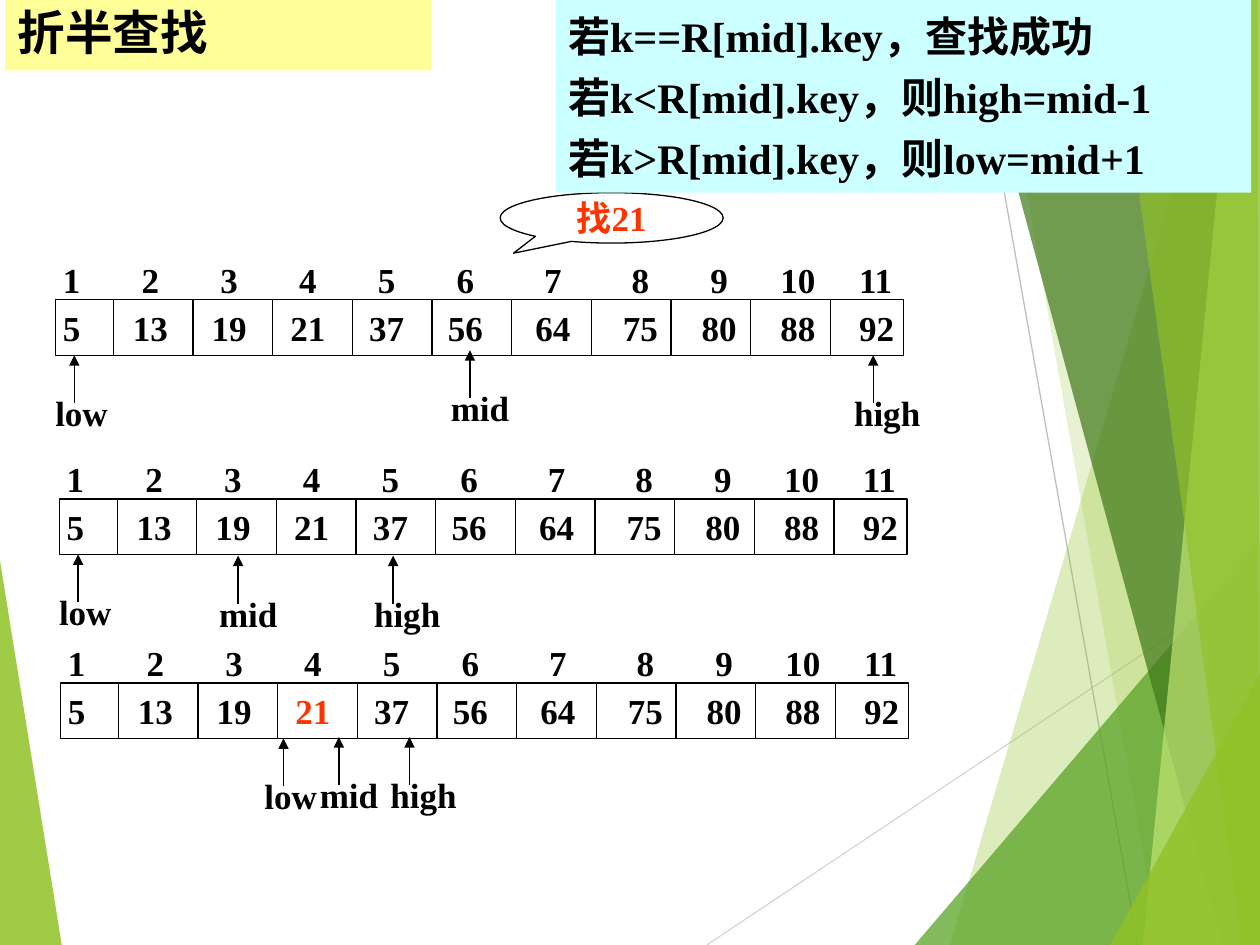
from itertools import accumulate

from pptx import Presentation
from pptx.dml.color import RGBColor
from pptx.enum.shapes import MSO_CONNECTOR, MSO_SHAPE
from pptx.enum.text import MSO_ANCHOR, PP_ALIGN
from pptx.oxml.ns import qn
from pptx.util import Inches, Pt
from lxml import etree

STRAIGHT = MSO_CONNECTOR.STRAIGHT
RECT, CALLOUT = MSO_SHAPE.RECTANGLE, MSO_SHAPE.OVAL_CALLOUT
LEFT, CENTER = PP_ALIGN.LEFT, PP_ALIGN.CENTER
TOP, MIDDLE = MSO_ANCHOR.TOP, MSO_ANCHOR.MIDDLE

COLORS = {
    "black": "000000", "red": "FF3300", "yellow": "FFFF99", "cyan": "CCFFFF",
    "gray": "BFBFBF", "light_gray": "D9D9D9", "green": "90C226",
    "mid_green": "54A021", "dark_green": "3F7819", "pale_green": "C0E474",
}
CJK = "Noto Sans CJK SC"
FORMAT = {"name": "Times New Roman", "size": Pt(20), "bold": True}

INDEXES = [str(i) for i in range(1, 12)]
VALUES = ["5", "13", "19", "21", "37", "56", "64", "75", "80", "88", "92"]
INDEX_STEPS = [45, 45, 45, 45, 45, 50, 50, 45, 40, 45]
VALUE_STEPS = [40, 45, 45, 45, 45, 50, 50, 45, 45, 45]
LABEL_WIDTHS = {"low": 0.61, "mid": 0.66, "high": 0.72}

LEAVES = [
    ("green", 85, [(0, 4.45), (0.49, 7.5), (0, 7.5)]),
    ("green", 30, [(9.75, 0), (7.54, 7.5), (10, 7.5), (10, 0)]),
    ("green", 20, [(7.88, 0), (9.2, 7.5), (10, 7.5), (10, 0)]),
    ("mid_green", 72, [(7.26, 7.5), (10, 4.29), (10, 7.5)]),
    ("dark_green", 70, [(7.67, 0), (9.7, 7.5), (10, 7.5), (10, 0)]),
    ("pale_green", 70, [(9.81, 0), (9.07, 7.5), (10, 7.5), (10, 0)]),
    ("green", 65, [(8.83, 0), (9.86, 7.5), (10, 7.5), (9.98, 0)]),
    ("green", 80, [(8.81, 7.5), (10, 5.35), (10, 7.5)]),
]
STEPS = [
    (0.44, 2.38, None, [("low", 0.59, 2.82), ("high", 6.93, 2.82), ("mid", 3.73, 2.78)]),
    (0.47, 3.96, None, [("low", 0.62, 4.4), ("high", 3.12, 4.41), ("mid", 1.89, 4.41)]),
    (0.48, 5.42, "21", [("low", 2.25, 5.86), ("high", 3.25, 5.85), ("mid", 2.69, 5.85)]),
]


def rgb(color):
    return RGBColor.from_string(COLORS[color])


def add_line(s, start, end, color="black", arrow=False):
    sp = s.shapes.add_connector(STRAIGHT, *(Inches(v) for v in (*start, *end)))
    sp.line.color.rgb = rgb(color)
    sp.line.width = Pt(0.75)
    if arrow:
        etree.SubElement(sp.line._get_or_add_ln(), qn("a:tailEnd"), type="triangle")
    etree.SubElement(sp._element.spPr, qn("a:effectLst"))


def add_box(s, shape, box, fill=None, line=None):
    sp = s.shapes.add_shape(shape, *(Inches(v) for v in box))
    sp.shadow.inherit = False
    if fill:
        sp.fill.solid()
        sp.fill.fore_color.rgb = rgb(fill)
    else:
        sp.fill.background()
    if line:
        sp.line.color.rgb = rgb(line)
        sp.line.width = Pt(0.75)
    else:
        sp.line.fill.background()
    return sp


def set_frame(tf, anchor=TOP, wrap=True, inset=0.1, right=0.1):
    values = {
        "word_wrap": wrap, "vertical_anchor": anchor,
        "margin_left": Inches(inset), "margin_right": Inches(right),
        "margin_top": Inches(0.05), "margin_bottom": Inches(0.05),
    }
    for name, value in values.items():
        setattr(tf, name, value)


def add_run(p, text, color="black", **changes):
    r = p.add_run()
    r.text = text
    for name, value in {**FORMAT, **changes}.items():
        setattr(r.font, name, value)
    r.font.color.rgb = rgb(color)
    etree.SubElement(r._r.get_or_add_rPr(), qn("a:ea"), typeface=CJK)


def add_tabbed(p, items, steps, marked=None):
    p.alignment = LEFT
    tabs = etree.SubElement(p._p.get_or_add_pPr(), qn("a:tabLst"))
    for pos in accumulate(steps):
        etree.SubElement(tabs, qn("a:tab"), pos=str(Pt(pos)), algn="l")
    if marked:
        at = items.index(marked)
        add_run(p, "\t".join(items[:at]) + "\t")
        add_run(p, marked, "red")
        add_run(p, "\t" + "\t".join(items[at + 1:]))
    else:
        add_run(p, "\t".join(items))


def add_backdrop(s):
    add_line(s, (5.61, 7.5), (10, 4.57), "light_gray")
    add_line(s, (7.7, 0), (9.03, 7.5), "gray")
    for color, opacity, points in LEAVES:
        corners = [(Inches(x), Inches(y)) for x, y in points]
        builder = s.shapes.build_freeform(*corners[0])
        builder.add_line_segments(corners[1:], close=True)
        sp = builder.convert_to_shape()
        sp.shadow.inherit = False
        sp.fill.solid()
        sp.fill.fore_color.rgb = rgb(color)
        sp.line.fill.background()
        clr = sp._element.spPr.find(".//" + qn("a:srgbClr"))
        etree.SubElement(clr, qn("a:alpha"), val=str(opacity * 1000))


def add_pointer(s, label, x, y):
    add_line(s, (x, y + 0.38), (x, y), arrow=True)
    box = (x - 0.25, y + 0.24, LABEL_WIDTHS[label], 0.44)
    tf = s.shapes.add_textbox(*(Inches(v) for v in box)).text_frame
    set_frame(tf, right=0)
    add_run(tf.paragraphs[0], label)


def add_array(s, box, marked):
    x, y, w, h = box
    index_box = (x - 0.04, y - 0.38, w + 0.08, h)
    tf = s.shapes.add_textbox(*(Inches(v) for v in index_box)).text_frame
    set_frame(tf, right=0)
    add_tabbed(tf.paragraphs[0], INDEXES, INDEX_STEPS)

    tf = add_box(s, RECT, box, line="black").text_frame
    set_frame(tf, MIDDLE, inset=0.06, right=0)
    add_tabbed(tf.paragraphs[0], VALUES, VALUE_STEPS, marked)

    first, last = 0.46, w - 0.58
    pitch = (last - first) / (len(VALUES) - 2)
    for i in range(len(VALUES) - 1):
        divider = x + first + i * pitch
        add_line(s, (divider, y), (divider, y + h))


def add_callout(s, box):
    sp = add_box(s, CALLOUT, box, line="black")
    sp.adjustments[0], sp.adjustments[1] = -0.44, 0.7
    set_frame(sp.text_frame, MIDDLE, wrap=False)
    p = sp.text_frame.paragraphs[0]
    p.alignment = CENTER
    add_run(p, "找21", "red")


def add_title(s, box):
    tf = add_box(s, RECT, box, fill="yellow").text_frame
    set_frame(tf, MIDDLE)
    p = tf.paragraphs[0]
    p.alignment = LEFT
    p.line_spacing = 0.9
    add_run(p, "折半查找", name=CJK, size=Pt(27.2))


def add_rules(s, box):
    tf = add_box(s, RECT, box, fill="cyan").text_frame
    set_frame(tf, MIDDLE)
    rules = ["若k==R[mid].key，查找成功", "若k<R[mid].key，则high=mid-1",
             "若k>R[mid].key，则low=mid+1"]
    for i, rule in enumerate(rules):
        p = tf.add_paragraph() if i else tf.paragraphs[0]
        p.alignment = LEFT
        if i:
            p.space_before = Pt(6)
        add_run(p, rule, size=Pt(24))


def main():
    prs = Presentation()
    prs.slide_width, prs.slide_height = Inches(10), Inches(7.5)
    s = prs.slides.add_slide(prs.slide_layouts[6])
    add_backdrop(s)
    for x, y, marked, pointers in STEPS:
        add_array(s, (x, y, 6.73, 0.44), marked)
        for pointer in pointers:
            add_pointer(s, *pointer)
    add_callout(s, (3.97, 1.53, 1.77, 0.4))
    add_title(s, (0.04, 0, 3.38, 0.56))
    add_rules(s, (4.41, 0, 5.52, 1.53))
    prs.save("out.pptx")


if __name__ == "__main__":
    main()
